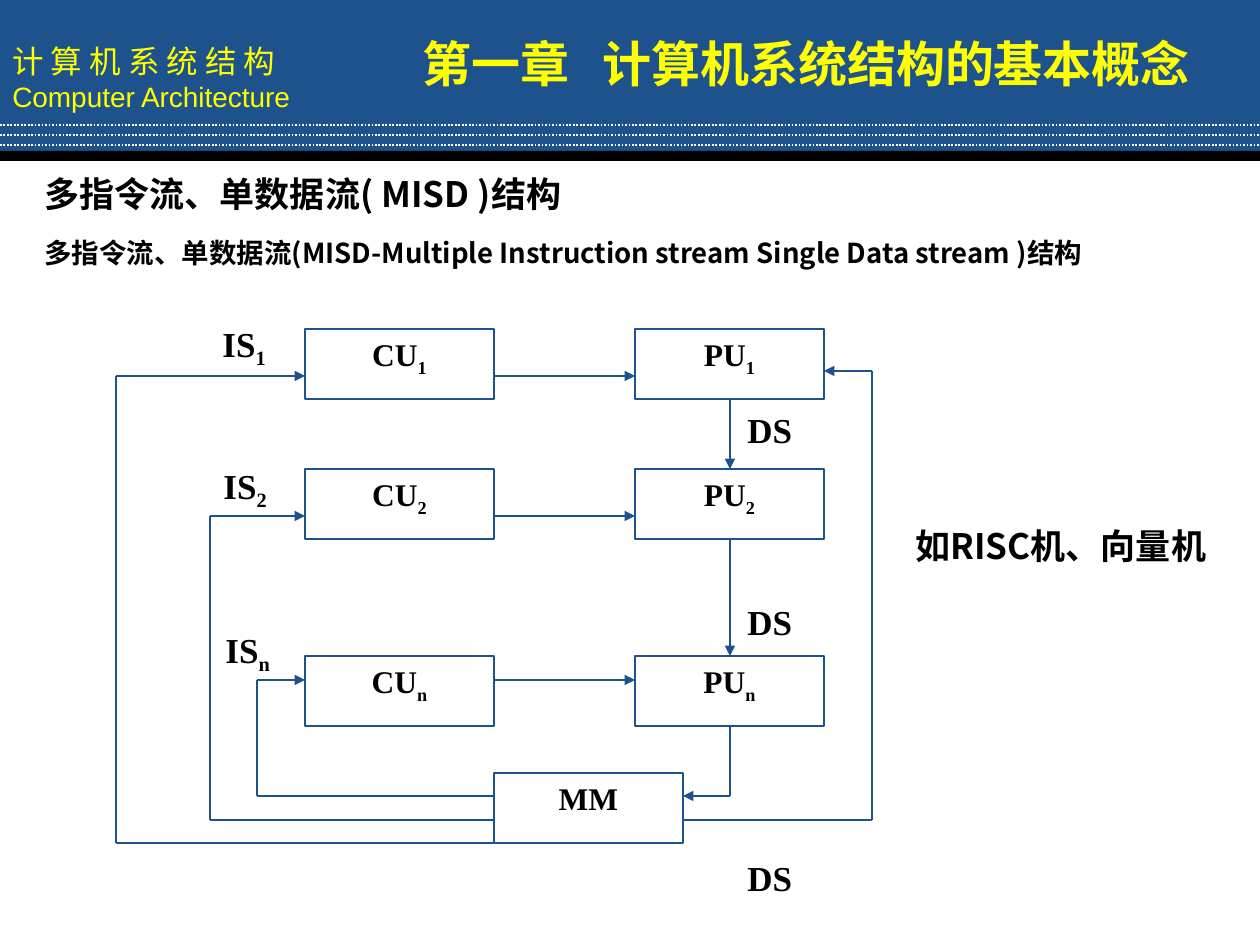
import pptx
import pptx.dml.color
import pptx.enum.dml
import pptx.enum.shapes
import pptx.enum.text
import pptx.oxml.ns
import pptx.util
from lxml import etree

PX = 914400 / 126  # EMU per px
RGB = pptx.dml.color.RGBColor.from_string
ALIGN = pptx.enum.text.PP_ALIGN
ANCHOR = pptx.enum.text.MSO_ANCHOR
RECT = pptx.enum.shapes.MSO_SHAPE.RECTANGLE
STRAIGHT = pptx.enum.shapes.MSO_CONNECTOR.STRAIGHT
qn = pptx.oxml.ns.qn

THEME = {
    "blue": RGB("1D528D"), "yellow": RGB("FFFF00"),
    "black": RGB("000000"), "white": RGB("FFFFFF"),
    "cjk": "Noto Sans CJK SC", "latin": "Arial", "serif": "Times New Roman",
    "chapter": 28, "heading": 20, "box": 18, "brand": 16, "body": 15.7,
}


def write(sp, lines, size, font, color="black", bold=True, sub="",
          align=ALIGN.LEFT, anchor=ANCHOR.TOP, wrap=True, spacing=None):
    """Put one paragraph per line in a shape, with an optional subscript."""
    tf = sp.text_frame
    frame = {"word_wrap": wrap, "vertical_anchor": anchor,
             "auto_size": pptx.enum.text.MSO_AUTO_SIZE.NONE}
    for name, value in frame.items():
        setattr(tf, name, value)
    for i, line in enumerate(lines):
        p = tf.add_paragraph() if i else tf.paragraphs[0]
        p.alignment, p.line_spacing = align, spacing
        for text in filter(None, (line, sub)):
            r = p.add_run()
            r.text = text
            style = {"size": pptx.util.Pt(THEME[size]), "name": THEME[font], "bold": bold}
            for name, value in style.items():
                setattr(r.font, name, value)
            r.font.color.rgb = THEME[color]
            rPr = r.font._element
            etree.SubElement(rPr, qn("a:ea")).set("typeface", THEME["cjk"])
            if text == sub:
                rPr.set("baseline", "-25000")


def connect(start, end, color="blue", width=0.75, arrow=False):
    """Draw a straight line between two points in px."""
    c = s.shapes.add_connector(STRAIGHT, *(round(v * PX) for v in (*start, *end)))
    c.line.color.rgb = THEME[color]
    c.line.width = pptx.util.Pt(width)
    if arrow:
        etree.SubElement(c.line._get_or_add_ln(), qn("a:tailEnd")).set("type", "triangle")
    etree.SubElement(c._element.spPr, qn("a:effectLst"))
    return c


prs = pptx.Presentation()
prs.slide_width, prs.slide_height = round(1260 * PX), round(945 * PX)
s = prs.slides.add_slide(prs.slide_layouts[5])

# Header band and black rule
bands = []
for top, height, color in ((0, 155, "blue"), (151, 10, "black")):
    sp = s.shapes.add_shape(RECT, 0, round(top * PX), round(1260 * PX), round(height * PX))
    sp.shadow.inherit = False
    sp.fill.solid()
    sp.fill.fore_color.rgb = THEME[color]
    sp.line.fill.background()
    bands.append(sp)
write(bands[0], ["计 算 机 系 统 结 构"], "box", "cjk", "yellow", bold=False,
      anchor=ANCHOR.MIDDLE, wrap=False)
p = bands[0].text_frame.add_paragraph()
p.alignment = ALIGN.LEFT
r = p.add_run()
r.text = "Computer Architecture"
for name, value in {"size": pptx.util.Pt(THEME["brand"]), "name": THEME["latin"]}.items():
    setattr(r.font, name, value)
r.font.color.rgb = THEME["yellow"]
for y in (125, 135, 145):
    c = connect((0, y), (1260, y), "white", 1)
    c.line.dash_style = pptx.enum.dml.MSO_LINE.ROUND_DOT

# Slide title
title = s.shapes.title
place = {"left": 32, "top": 168, "width": 620, "height": 52}
for name, value in place.items():
    setattr(title, name, round(value * PX))
write(title, ["多指令流、单数据流( MISD )结构"], "heading", "cjk", anchor=ANCHOR.MIDDLE)

# Text boxes: place, text, subscript, format
serif = {"size": "heading", "font": "serif"}
texts = [
    ((410, 27, 840, 72), "第一章   计算机系统结构的基本概念", "",
     {"size": "chapter", "font": "cjk", "color": "yellow"}),
    ((32, 231, 1187, 48),
     "多指令流、单数据流(MISD-Multiple Instruction stream Single Data stream )结构", "",
     {"size": "body", "font": "cjk", "anchor": ANCHOR.MIDDLE, "spacing": 0.9}),
    ((903, 526, 333, 90), "如RISC机、向量机", "",
     {"size": "heading", "font": "cjk", "spacing": 0.8}),
    ((210, 316, 147, 60), "IS", "1", serif),
    ((211, 458, 80, 60), "IS", "2", serif),
    ((213, 622, 80, 60), "IS", "n", serif),
]
texts += [((735, y, 126, 52), "DS", "", serif) for y in (402, 594, 850)]
for box, text, sub, style in texts:
    sp = s.shapes.add_textbox(*(round(v * PX) for v in box))
    write(sp, [text], sub=sub, **style)

# Control units, processing units and main memory
CU, PU, MM, W, H = 305, 635, 494, 189, 70
ROWS = {"1": 329, "2": 469, "n": 656}
units = [(x, y, name, sub) for sub, y in ROWS.items()
         for x, name in ((CU, "CU"), (PU, "PU"))]
for x, y, name, sub in units + [(MM, 773, "MM", "")]:
    sp = s.shapes.add_shape(RECT, *(round(v * PX) for v in (x, y, W, H)))
    sp.shadow.inherit = False
    sp.fill.background()
    sp.line.color.rgb = THEME["blue"]
    sp.line.width = pptx.util.Pt(0.75)
    write(sp, [name], "box", "serif", sub=sub, align=ALIGN.CENTER)

# Routes: the last leg of each carries the arrowhead
MID = PU + W // 2 + 1
routes = [
    [(MID, ROWS["1"] + H), (MID, ROWS["2"])],
    [(MID, ROWS["2"] + H), (MID, ROWS["n"])],
    [(MID, ROWS["n"] + H), (MID, 796), (MM + W, 796)],
    [(MM + W, 820), (872, 820), (872, 371), (PU + W, 371)],
]
for x, out_y, in_y in ((116, 843, 376), (210, 820, 516), (257, 796, 680)):
    routes.append([(MM, out_y), (x, out_y), (x, in_y), (CU, in_y)])
    routes.append([(CU + W, in_y), (PU, in_y)])
for route in routes:
    for start, end in zip(route, route[1:]):
        connect(start, end, arrow=end == route[-1])

prs.save("out.pptx")
